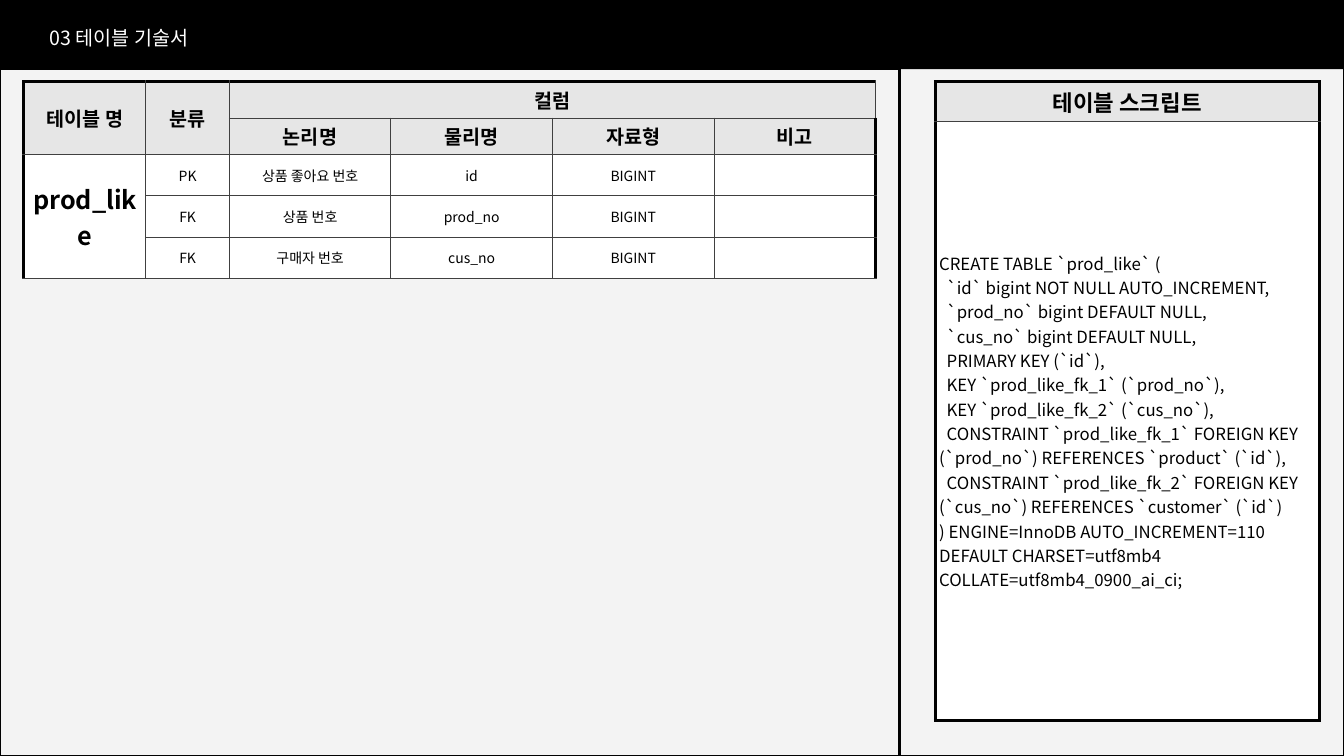
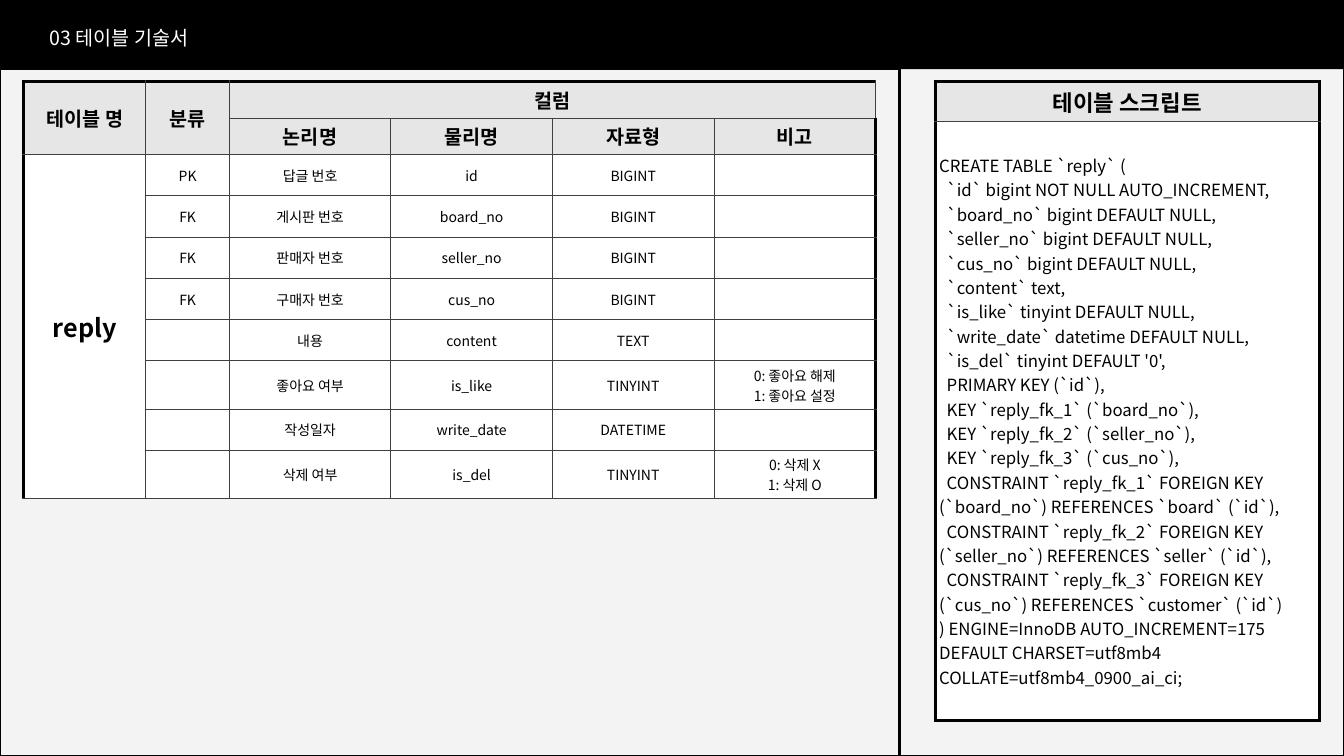
from dataclasses import dataclass

from lxml.etree import SubElement
from pptx import Presentation
from pptx.dml.color import RGBColor
from pptx.enum.shapes import MSO_SHAPE as Preset
from pptx.enum.text import MSO_ANCHOR as Anchor, PP_ALIGN as Align
from pptx.oxml.ns import qn
from pptx.util import Pt


@dataclass(frozen=True)
class Theme:
    """Colours, type and line sizes of the deck."""
    font: str = "Noto Sans CJK KR"
    black: str = "000000"
    white: str = "FFFFFF"
    paper: str = "F3F3F3"
    header: str = "E6E6E6"
    rule: str = "404040"
    name_size: float = 18
    script_title_size: float = 16
    title_size: float = 14
    code_size: float = 12
    body_size: float = 10
    frame_line: float = 2.25
    panel_line: float = 1.5
    rule_line: float = 0.75
    cell_margin: float = 2.83


@dataclass(frozen=True)
class Box:
    """A region in points."""
    left: float
    top: float
    width: float
    height: float

    def place(self):
        """Return the region as lengths."""
        return Pt(self.left), Pt(self.top), Pt(self.width), Pt(self.height)


THEME = Theme()
PAGE = Box(0, 0, 960, 540)
BAND = Box(0, 0, 960, 49.5)
TITLE = Box(28, 14.4, 480, 24.4)
COLUMNS_PANEL = Box(0, 49.5, 642.5, 490.5)
SCRIPT_PANEL = Box(643, 28, 317, 512)
COLUMNS_TABLE = Box(17, 58.3, 608.4, 0)
SCRIPT_TABLE = Box(668, 58.3, 274.3, 453.6)
COLUMN_WIDTHS = (87.2, 59.6, 115.4, 115.4, 115.4, 115.4)
HEADER_ROW, FIELD_ROW, SCRIPT_HEADER_ROW = 25.2, 29.5, 26
TITLE_TEXT = "03 테이블 기술서"
GROUP_HEADERS = ("테이블 명", "분류", "컬럼", "", "", "")
FIELD_HEADERS = ("", "", "논리명", "물리명", "자료형", "비고")

PROD_LIKE_FIELDS = (
    ("PK", "상품 좋아요 번호", "id", "BIGINT", ""),
    ("FK", "상품 번호", "prod_no", "BIGINT", ""),
    ("FK", "구매자 번호", "cus_no", "BIGINT", ""),
)
PROD_LIKE_SCRIPT = """CREATE TABLE `prod_like` (
  `id` bigint NOT NULL AUTO_INCREMENT,
  `prod_no` bigint DEFAULT NULL,
  `cus_no` bigint DEFAULT NULL,
  PRIMARY KEY (`id`),
  KEY `prod_like_fk_1` (`prod_no`),
  KEY `prod_like_fk_2` (`cus_no`),
  CONSTRAINT `prod_like_fk_1` FOREIGN KEY (`prod_no`) REFERENCES `product` (`id`),
  CONSTRAINT `prod_like_fk_2` FOREIGN KEY (`cus_no`) REFERENCES `customer` (`id`)
) ENGINE=InnoDB AUTO_INCREMENT=110 DEFAULT CHARSET=utf8mb4 COLLATE=utf8mb4_0900_ai_ci;"""

REPLY_FIELDS = (
    ("PK", "답글 번호", "id", "BIGINT", ""),
    ("FK", "게시판 번호", "board_no", "BIGINT", ""),
    ("FK", "판매자 번호", "seller_no", "BIGINT", ""),
    ("FK", "구매자 번호", "cus_no", "BIGINT", ""),
    ("", "내용", "content", "TEXT", ""),
    ("", "좋아요 여부", "is_like", "TINYINT", "0: 좋아요 해제\n1: 좋아요 설정"),
    ("", "작성일자", "write_date", "DATETIME", ""),
    ("", "삭제 여부", "is_del", "TINYINT", "0: 삭제 X\n1: 삭제 O"),
)
REPLY_SCRIPT = """CREATE TABLE `reply` (
  `id` bigint NOT NULL AUTO_INCREMENT,
  `board_no` bigint DEFAULT NULL,
  `seller_no` bigint DEFAULT NULL,
  `cus_no` bigint DEFAULT NULL,
  `content` text,
  `is_like` tinyint DEFAULT NULL,
  `write_date` datetime DEFAULT NULL,
  `is_del` tinyint DEFAULT '0',
  PRIMARY KEY (`id`),
  KEY `reply_fk_1` (`board_no`),
  KEY `reply_fk_2` (`seller_no`),
  KEY `reply_fk_3` (`cus_no`),
  CONSTRAINT `reply_fk_1` FOREIGN KEY (`board_no`) REFERENCES `board` (`id`),
  CONSTRAINT `reply_fk_2` FOREIGN KEY (`seller_no`) REFERENCES `seller` (`id`),
  CONSTRAINT `reply_fk_3` FOREIGN KEY (`cus_no`) REFERENCES `customer` (`id`)
) ENGINE=InnoDB AUTO_INCREMENT=175 DEFAULT CHARSET=utf8mb4 COLLATE=utf8mb4_0900_ai_ci;"""


def color(value):
    """Turn a hex string into a colour."""
    return RGBColor.from_string(value)


def style_text(frame, size, ink=THEME.black, bold=False, align=Align.CENTER):
    """Format every paragraph of a text frame."""
    for paragraph in frame.paragraphs:
        paragraph.alignment = align
        font = paragraph.font
        font.name, font.size, font.bold = THEME.font, Pt(size), bold
        font.color.rgb = color(ink)
        properties = paragraph._p.pPr.find(qn("a:defRPr"))
        SubElement(properties, qn("a:ea"), typeface=THEME.font)
        if not paragraph.runs:
            SubElement(paragraph._p, qn("a:endParaRPr"), sz=str(size * 100))


def add_rectangle(slide, box, fill=None, line=None):
    """Add a plain rectangle with an optional fill and outline."""
    shape = slide.shapes.add_shape(Preset.RECTANGLE, *box.place())
    shape.shadow.inherit = False
    if fill:
        shape.fill.solid()
        shape.fill.fore_color.rgb = color(fill)
    else:
        shape.fill.background()
    if line:
        shape.line.color.rgb = color(line)
        shape.line.width = Pt(THEME.panel_line)
    else:
        shape.line.fill.background()


def add_border(cell, side, heavy):
    """Draw one cell edge, as table frame or as inner rule."""
    width = THEME.frame_line if heavy else THEME.rule_line
    properties = cell._tc.get_or_add_tcPr()
    line = SubElement(properties, qn(f"a:ln{side}"), w=str(Pt(width)))
    fill = SubElement(line, qn("a:solidFill"))
    SubElement(fill, qn("a:srgbClr"), val=THEME.black if heavy else THEME.rule)


def add_grid(slide, box, widths, heights, header_rows, closed):
    """Add a framed table with filled header rows; closed adds a heavy bottom."""
    rows, columns = len(heights), len(widths)
    area = Box(box.left, box.top, sum(widths), sum(heights))
    table = slide.shapes.add_table(rows, columns, *area.place()).table
    table.first_row = table.horz_banding = False
    for column, width in zip(table.columns, widths):
        column.width = Pt(width)
    for row, height in zip(table.rows, heights):
        row.height = Pt(height)
    for r in range(rows):
        for c in range(columns):
            cell = table.cell(r, c)
            add_border(cell, "L", c == 0)
            add_border(cell, "R", c == columns - 1)
            add_border(cell, "T", r == 0)
            add_border(cell, "B", closed and r == rows - 1)
            cell.fill.solid()
            cell.fill.fore_color.rgb = color(THEME.header if r < header_rows else THEME.white)
            cell.vertical_anchor = Anchor.MIDDLE
            cell.margin_left = cell.margin_right = Pt(THEME.cell_margin)
            cell.margin_top = cell.margin_bottom = Pt(THEME.cell_margin)
    return table


def write_cell(cell, text, size, bold=False, align=Align.CENTER):
    """Put formatted text in a cell."""
    cell.text = text
    style_text(cell.text_frame, size, bold=bold, align=align)


def add_columns_table(slide, box, name, fields):
    """Add the table that describes each column of a database table."""
    heights = [HEADER_ROW] * 2 + [FIELD_ROW] * len(fields)
    table = add_grid(slide, box, COLUMN_WIDTHS, heights, 2, closed=False)
    for r, headers in enumerate((GROUP_HEADERS, FIELD_HEADERS)):
        for c, text in enumerate(headers):
            write_cell(table.cell(r, c), text, THEME.title_size, bold=True)
    for r, field in enumerate(fields, 2):
        write_cell(table.cell(r, 0), name if r == 2 else "", THEME.name_size if r == 2 else THEME.body_size, bold=True)
        for c, text in enumerate(field, 1):
            write_cell(table.cell(r, c), text, THEME.body_size)
    last = len(heights) - 1
    for start, end in (((0, 0), (1, 0)), ((0, 1), (1, 1)), ((0, 2), (0, 5)), ((2, 0), (last, 0))):
        table.cell(*start).merge(table.cell(*end))


def add_script_table(slide, box, script):
    """Add the box that holds the SQL script."""
    heights = (SCRIPT_HEADER_ROW, box.height - SCRIPT_HEADER_ROW)
    table = add_grid(slide, box, (box.width,), heights, 1, closed=True)
    write_cell(table.cell(0, 0), "테이블 스크립트", THEME.script_title_size, bold=True)
    write_cell(table.cell(1, 0), script, THEME.code_size, align=Align.LEFT)


def add_title(slide, box):
    """Place the title placeholder on top of the band."""
    title = slide.shapes.title
    title.left, title.top, title.width, title.height = box.place()
    slide.shapes._spTree.append(title._element)
    frame = title.text_frame
    frame.text = TITLE_TEXT
    frame.word_wrap = True
    frame.vertical_anchor = Anchor.MIDDLE
    frame.margin_left = frame.margin_right = Pt(7.2)
    frame.margin_top = frame.margin_bottom = Pt(0)
    style_text(frame, THEME.title_size, THEME.white, align=Align.LEFT)


def add_table_slide(presentation, name, fields, script):
    """Add one slide that documents a database table."""
    slide = presentation.slides.add_slide(presentation.slide_layouts[5])
    add_rectangle(slide, BAND, fill=THEME.black)
    add_rectangle(slide, COLUMNS_PANEL, line=THEME.black)
    add_rectangle(slide, SCRIPT_PANEL, line=THEME.black)
    add_columns_table(slide, COLUMNS_TABLE, name, fields)
    add_script_table(slide, SCRIPT_TABLE, script)
    add_title(slide, TITLE)


def main():
    """Build and save the presentation."""
    presentation = Presentation()
    presentation.slide_width, presentation.slide_height = Pt(PAGE.width), Pt(PAGE.height)
    background = presentation.slide_master.background.fill
    background.solid()
    background.fore_color.rgb = color(THEME.paper)
    add_table_slide(presentation, "prod_like", PROD_LIKE_FIELDS, PROD_LIKE_SCRIPT)
    add_table_slide(presentation, "reply", REPLY_FIELDS, REPLY_SCRIPT)
    presentation.save("out.pptx")


if __name__ == "__main__":
    main()
